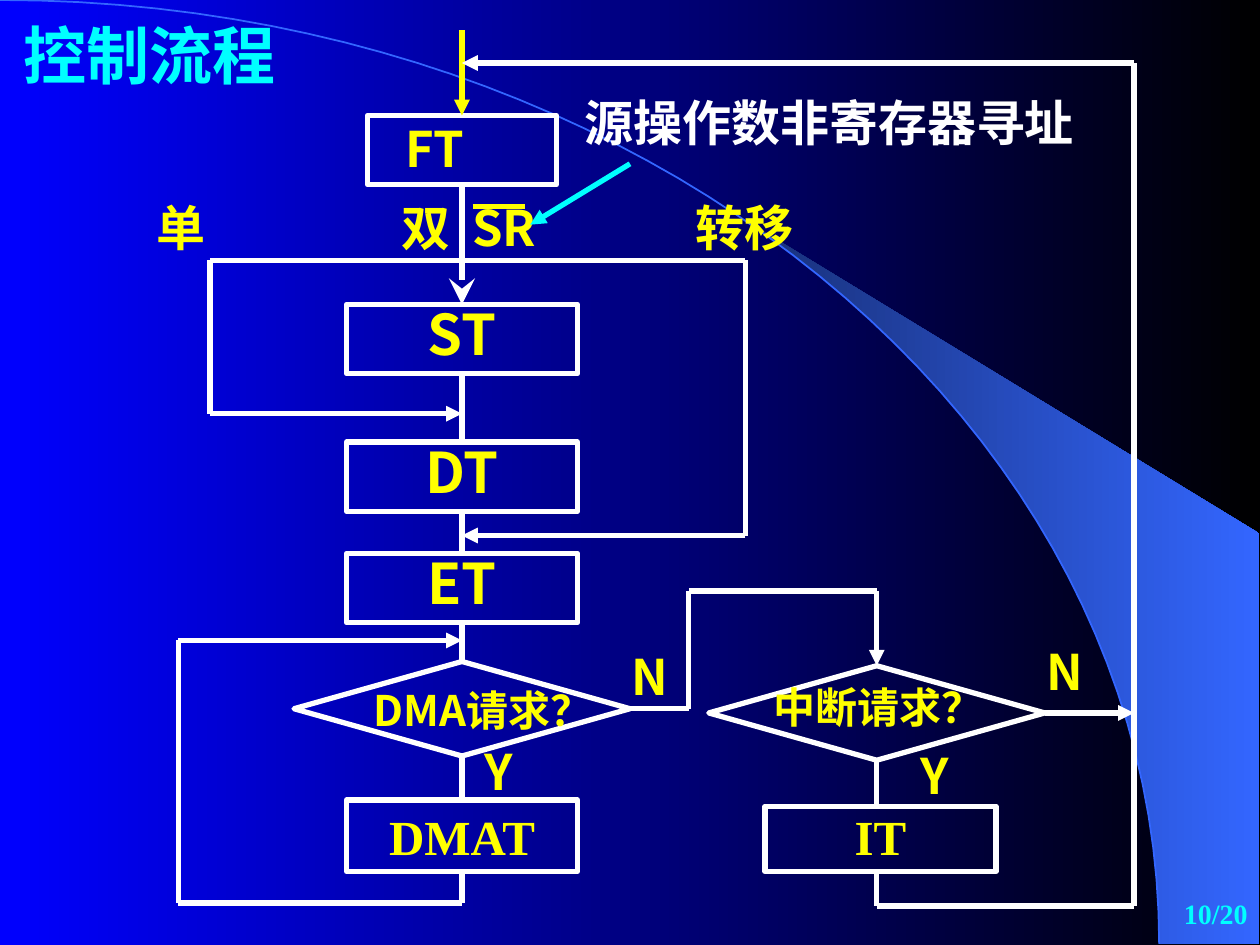
from dataclasses import dataclass

from lxml.etree import SubElement
from pptx import Presentation
from pptx.dml.color import RGBColor as RGB
from pptx.enum.shapes import MSO_CONNECTOR as LINK, MSO_SHAPE as SHAPE
from pptx.enum.text import MSO_ANCHOR as ANCHOR, MSO_AUTO_SIZE as FIT, PP_ALIGN as ALIGN
from pptx.oxml.ns import qn
from pptx.util import Inches, Pt

CELL = Inches(1) / 12
TOP, LEFT, BOTTOM, RIGHT = range(4)


@dataclass(frozen=True)
class Theme:
    """Colours, fonts and sizes of the slide."""
    yellow: str = "FFFF00"
    white: str = "FFFFFF"
    cyan: str = "00FFFF"
    sky: tuple = ("0000FF", "000000")
    wedge: tuple = ("182F76", "3366FF")
    arc: str = "3366FF"
    sans: str = "Noto Sans CJK SC"
    serif: str = "Times New Roman"
    title: int = 36
    stage: int = 32
    label: int = 28
    question: int = 24
    page: int = 16
    stroke: int = 3


THEME = Theme()


@dataclass(frozen=True)
class Region:
    """A share of the slide measured in columns and rows of one cell."""
    left: float
    top: float
    cols: float = 0
    rows: float = 0

    def point(self, col, row):
        """Return the slide position of a grid point."""
        return round((self.left + col) * CELL), round((self.top + row) * CELL)

    def area(self, col, row, cols, rows):
        """Return a smaller region inside this one."""
        return Region(self.left + col, self.top + row, cols, rows)

    def frame(self):
        """Return left, top, width and height on the slide."""
        return (*self.point(0, 0), round(self.cols * CELL), round(self.rows * CELL))


def assign(target, values):
    """Set each named attribute of the target."""
    for name, value in values.items():
        setattr(target, name, value)


def shade(fill, colours):
    """Fill from left to right between two colours."""
    fill.gradient()
    fill.gradient_angle = 0
    for stop, colour in zip(fill.gradient_stops, colours):
        stop.color.rgb = RGB.from_string(colour)


def outline(line, colour, width=THEME.stroke):
    """Give a line its colour and width."""
    line.color.rgb = RGB.from_string(colour)
    line.width = Pt(width)


def write(holder, words, size=THEME.label, colour=THEME.yellow, face=THEME.sans,
          align=ALIGN.LEFT, anchor=ANCHOR.TOP, pitch=None, indent=0.1):
    """Put one formatted line of words in a holder."""
    frame = holder.text_frame
    assign(frame, {"auto_size": FIT.NONE, "word_wrap": True, "vertical_anchor": anchor,
                   "margin_left": Inches(indent), "margin_right": Inches(0.1),
                   "margin_top": Inches(0.05), "margin_bottom": Inches(0.05)})
    line = frame.paragraphs[0]
    assign(line, {"alignment": align, "line_spacing": pitch and Pt(pitch)})
    run = line.add_run()
    run.text = words
    assign(run.font, {"size": Pt(size), "name": face, "bold": True})
    run.font.color.rgb = RGB.from_string(colour)
    SubElement(run.font._element, qn("a:ea"), typeface=THEME.sans)


def label(slide, region, words, **style):
    """Place free-standing words."""
    write(slide.shapes.add_textbox(*region.frame()), words, **style)


def node(slide, region, words="", kind=SHAPE.RECTANGLE, **style):
    """Draw one outlined flow step and return it."""
    step = slide.shapes.add_shape(kind, *region.frame())
    step.shadow.inherit = False
    step.fill.background()
    outline(step.line, THEME.white)
    if words:
        write(step, words, **style)
    return step


def route(slide, region, *stops, colour=THEME.white, arrow=None, size="med"):
    """Run lines through grid points or (step, side) joints, with an arrow at the end."""
    for start, end in zip(stops, stops[1:]):
        ends = [stop if isinstance(stop[0], (int, float)) else None for stop in (start, end)]
        spots = [region.point(*spot) if spot else (0, 0) for spot in ends]
        wire = slide.shapes.add_connector(LINK.STRAIGHT, *spots[0], *spots[1])
        if not ends[0]:
            wire.begin_connect(*start)
        if not ends[1]:
            wire.end_connect(*end)
        outline(wire.line, colour)
        SubElement(wire._element.spPr, qn("a:effectLst"))
    if arrow:
        SubElement(wire.line._get_or_add_ln(), qn("a:tailEnd"), type=arrow, w=size, len=size)


def bezier(knots, steps=48):
    """Return points along a cubic curve."""
    shares = [step / steps for step in range(steps + 1)]
    return [tuple((1 - t) ** 3 * a + 3 * t * (1 - t) ** 2 * b + 3 * t * t * (1 - t) * c + t ** 3 * d
                  for a, b, c, d in zip(*knots)) for t in shares]


def backdrop(slide, region):
    """Draw the gradient, the wedge of light and the arc."""
    shade(slide.background.fill, THEME.sky)
    arc = bezier([(0, 0), (61, 0), (110.4, 40.2), (110.4, 89.9)])
    rim = [spot for spot in arc if spot[0] > 71]
    beam = [*rim[::-1], (70.7, 20.8), (119.9, 50.8), (119.9, 89.9)]
    for points, closed in ((beam, True), (arc, False)):
        spots = [region.point(*spot) for spot in points]
        builder = slide.shapes.build_freeform(*spots[0])
        builder.add_line_segments(spots[1:], close=closed)
        form = builder.convert_to_shape()
        form.shadow.inherit = False
        if closed:
            shade(form.fill, THEME.wedge)
            form.line.fill.background()
        else:
            form.fill.background()
            outline(form.line, THEME.arc, 1)


def heading(slide, region):
    """Place the slide title."""
    title = slide.shapes.title
    assign(title, dict(zip(("left", "top", "width", "height"), region.frame())))
    write(title, "控制流程", size=THEME.title, colour=THEME.cyan)


def operand_cycles(slide, region):
    """Draw FT to ET with both bypasses and return the ET step."""
    spine, bus, west, east = 32, 24.8, 8, 59
    fetch = node(slide, region.area(23, 11, 18, 6.6), "FT", pitch=32, indent=0.3)
    source, target, execute = [
        node(slide, region.area(21, row, 22, 6.6), words, size=THEME.stage,
             align=ALIGN.CENTER, pitch=32)
        for words, row in (("ST", 29), ("DT", 42.1), ("ET", 52.7))]
    route(slide, region, (spine, 2.9), (fetch, TOP), colour=THEME.yellow, arrow="triangle")
    route(slide, region, (fetch, BOTTOM), (spine, bus))
    route(slide, region, (spine, bus), (source, TOP), arrow="stealth", size="lg")
    route(slide, region, (west, bus), (east, bus))
    route(slide, region, (source, BOTTOM), (target, TOP))
    route(slide, region, (target, BOTTOM), (execute, TOP))
    for side, row in ((west, 39.4), (east, 51)):
        route(slide, region, (side, bus), (side, row), (spine, row), arrow="triangle")
    for words, col, align in (("单", 1.7, ALIGN.LEFT), ("双", 25.1, ALIGN.LEFT),
                              ("SR", 31.8, ALIGN.LEFT), ("转移", 52.9, ALIGN.CENTER)):
        label(slide, region.area(col, 18.2, 12, 6.8), words, align=align)
    route(slide, region, (33, 19.7), (38, 19.7), colour=THEME.yellow)
    label(slide, region.area(42.5, 8.2, 49, 6.8), "源操作数非寄存器寻址",
          colour=THEME.white, face=THEME.serif)
    route(slide, region, (48, 15.6), (38.5, 21.4), colour=THEME.cyan, arrow="triangle")
    return execute


def dma_check(slide, region, execute):
    """Draw the DMA question with its loop and return the question."""
    spine, join, floor = 27, 2, 27
    ask = node(slide, region.area(11, 4, 32, 9), kind=SHAPE.FLOWCHART_DECISION)
    transfer = node(slide, region.area(16, 17.2, 22, 6.8), "DMAT", face=THEME.serif,
                    align=ALIGN.CENTER)
    label(slide, region.area(16, 5.6, 26, 6), "DMA请求？", size=THEME.question, align=ALIGN.CENTER)
    route(slide, region, (execute, BOTTOM), (ask, TOP))
    route(slide, region, (ask, BOTTOM), (transfer, TOP))
    route(slide, region, (transfer, BOTTOM), (spine, floor), (0, floor), (0, join),
          (spine, join), arrow="triangle")
    label(slide, region.area(42, 2, 9, 6.8), "N")
    label(slide, region.area(28, 11, 9, 6.8), "Y")
    return ask


def interrupt_check(slide, region, dma_ask):
    """Draw the interrupt question and the return to the start."""
    spine, inlet, roof, back, floor, start = 18.5, 0.6, 0.3, 43, 30.3, -50
    ask = node(slide, region.area(2.5, 7.4, 32, 9), kind=SHAPE.FLOWCHART_DECISION)
    node(slide, region.area(7.85, 20.8, 22, 6.2), "IT", face=THEME.serif,
         align=ALIGN.CENTER, pitch=30)
    label(slide, region.area(7.5, 8.3, 26, 6), "中断请求？", size=THEME.question)
    route(slide, region, (dma_ask, RIGHT), (inlet, 11.5), (inlet, roof), (spine, roof),
          (ask, TOP), arrow="triangle")
    route(slide, region, (ask, BOTTOM), (spine, 20.8))
    route(slide, region, (ask, RIGHT), (back, 11.9), arrow="triangle")
    route(slide, region, (spine, 27), (spine, floor), (back, floor), (back, start),
          (-21, start), arrow="triangle")
    label(slide, region.area(21.5, 14.4, 9, 6.8), "Y")
    label(slide, region.area(33.5, 4.5, 9, 6.8), "N")


def main():
    """Build and save the slide."""
    deck = Presentation()
    assign(deck, {"slide_width": Inches(10), "slide_height": Inches(7.5)})
    slide = deck.slides.add_slide(deck.slide_layouts[5])
    backdrop(slide, Region(0, 0, 120, 90))
    heading(slide, Region(1, 1, 32, 8.4))
    execute = operand_cycles(slide, Region(12, 0, 92, 59))
    dma_ask = dma_check(slide, Region(17, 59, 49, 27), execute)
    interrupt_check(slide, Region(65, 56, 43, 31), dma_ask)
    label(slide, Region(95, 84, 25, 6), "10/20", size=THEME.page, colour=THEME.cyan,
          face=THEME.serif, align=ALIGN.RIGHT, anchor=ANCHOR.MIDDLE)
    deck.save("out.pptx")


if __name__ == "__main__":
    main()
